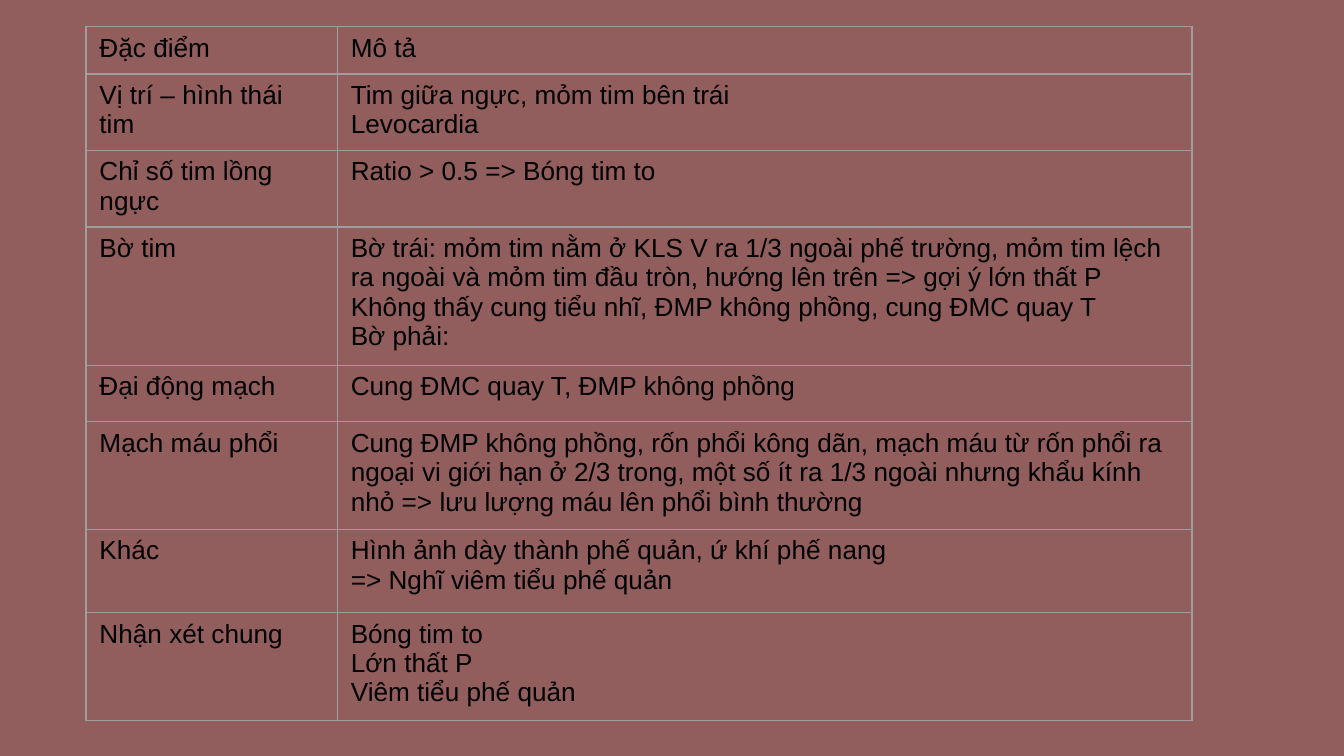
from dataclasses import dataclass

from lxml import etree
from pptx import Presentation
from pptx import util as u
from pptx.dml.color import RGBColor
from pptx.oxml.ns import qn


@dataclass(frozen=True)
class Theme:
    background: str = "915D5D"
    text: str = "000000"
    border: str = "9E9E9E"
    border_width: float = 0.75
    font: str = "Arial"
    size: int = 14


THEME = Theme()
COLUMN_WIDTHS = (1.87, 6.36)

# Row height, feature, description paragraphs
FINDINGS = [
    (0.35, "Đặc điểm", ["Mô tả"]),
    (0.57, "Vị trí – hình thái tim",
     ["Tim giữa ngực, mỏm tim bên trái", "Levocardia"]),
    (0.57, "Chỉ số tim lồng ngực", ["Ratio > 0.5 => Bóng tim to"]),
    (1.03, "Bờ tim",
     ["Bờ trái: mỏm tim nằm ở KLS V ra 1/3 ngoài phế trường, mỏm tim lệch "
      "ra ngoài và mỏm tim đầu tròn, hướng lên trên => gợi ý lớn thất P",
      "Không thấy cung tiểu nhĩ, ĐMP không phồng, cung ĐMC quay T",
      "Bờ phải:"]),
    (0.42, "Đại động mạch", ["Cung ĐMC quay T, ĐMP không phồng"]),
    (0.80, "Mạch máu phổi",
     ["Cung ĐMP không phồng, rốn phổi kông dãn, mạch máu từ rốn phổi ra "
      "ngoại vi giới hạn ở 2/3 trong, một số ít ra 1/3 ngoài nhưng khẩu kính "
      "nhỏ => lưu lượng máu lên phổi bình thường"]),
    (0.62, "Khác",
     ["Hình ảnh dày thành phế quản, ứ khí phế nang",
      "=> Nghĩ viêm tiểu phế quản"]),
    (0.80, "Nhận xét chung",
     ["Bóng tim to", "Lớn thất P", "Viêm tiểu phế quản"]),
]


def set_borders(cell):
    """Draw a thin line on all four sides; lines must precede the fill."""
    tc_pr = cell._tc.get_or_add_tcPr()
    for i, side in enumerate(("a:lnL", "a:lnR", "a:lnT", "a:lnB")):
        line = etree.Element(qn(side), w=str(u.Pt(THEME.border_width)))
        fill = etree.SubElement(line, qn("a:solidFill"))
        etree.SubElement(fill, qn("a:srgbClr"), val=THEME.border)
        tc_pr.insert(i, line)


def fill_cell(cell, paragraphs):
    cell.fill.background()
    set_borders(cell)
    tf = cell.text_frame
    tf.text = "\n".join(paragraphs)
    font_format = {"name": THEME.font, "size": u.Pt(THEME.size), "bold": False}
    for p in tf.paragraphs:
        for r in p.runs:
            for name, value in font_format.items():
                setattr(r.font, name, value)
            r.font.color.rgb = RGBColor.from_string(THEME.text)


def add_findings_table(s):
    height = sum(row[0] for row in FINDINGS)
    frame = s.shapes.add_table(
        len(FINDINGS), len(COLUMN_WIDTHS), u.Inches(0.64), u.Inches(0.2),
        u.Inches(sum(COLUMN_WIDTHS)), u.Inches(height))
    table = frame.table
    table.first_row = table.horz_banding = False
    for column, width in zip(table.columns, COLUMN_WIDTHS):
        column.width = u.Inches(width)
    for row, (row_height, feature, description) in zip(table.rows, FINDINGS):
        row.height = u.Inches(row_height)
        fill_cell(row.cells[0], [feature])
        fill_cell(row.cells[1], description)


def main():
    # Widescreen 16:9 page
    prs = Presentation()
    prs.slide_width = u.Inches(10)
    prs.slide_height = prs.slide_width * 9 // 16

    # Blank slide with a plain background
    s = prs.slides.add_slide(prs.slide_layouts[6])
    s.background.fill.solid()
    s.background.fill.fore_color.rgb = RGBColor.from_string(THEME.background)

    # Chest X-ray findings
    add_findings_table(s)
    prs.save("out.pptx")


if __name__ == "__main__":
    main()
